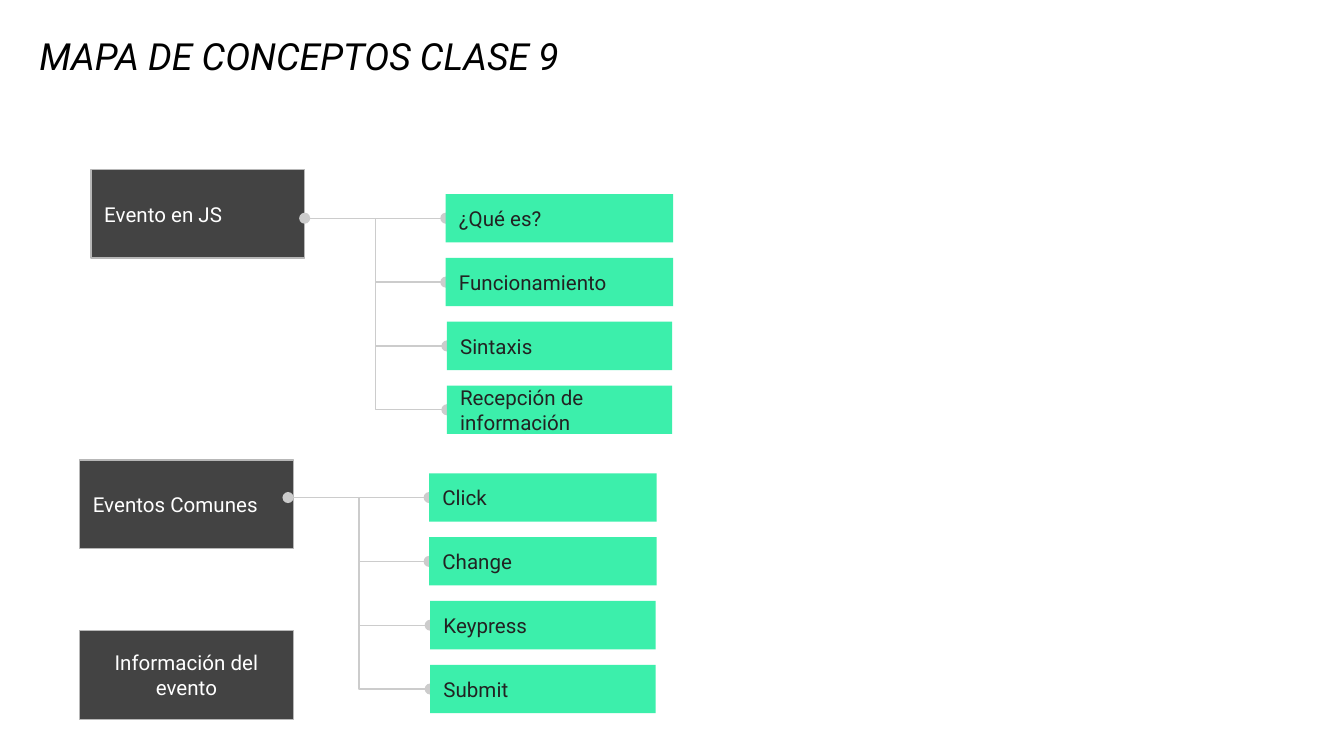
from lxml import etree
from pptx import Presentation
from pptx import util as u
from pptx.dml.color import RGBColor
from pptx.enum import shapes, text
from pptx.oxml.ns import qn

BLACK = RGBColor(0x00, 0x00, 0x00)
WHITE = RGBColor(0xFF, 0xFF, 0xFF)
INK = RGBColor(0x22, 0x22, 0x22)
DARK = RGBColor(0x43, 0x43, 0x43)
EDGE = RGBColor(0xB7, 0xB7, 0xB7)
WIRE = RGBColor(0xCC, 0xCC, 0xCC)
GREEN = RGBColor(0x3C, 0xEF, 0xAB)

COLS = 100
PITCH = 4.75
MIDDLE = text.MSO_ANCHOR.MIDDLE
BOTTOM = text.MSO_ANCHOR.BOTTOM
LEFT = text.PP_ALIGN.LEFT
CENTER = text.PP_ALIGN.CENTER


def write(shape, words, size=11, color=INK, italic=False, align=LEFT, anchor=MIDDLE):
    frame = shape.text_frame
    frame.word_wrap = True
    frame.vertical_anchor = anchor
    frame.margin_left = frame.margin_right = u.Inches(0.1)
    frame.margin_top = frame.margin_bottom = u.Inches(0.1)
    para = frame.paragraphs[0]
    para.alignment = align
    run = para.add_run()
    run.text = words
    run.font.name = "Roboto"
    run.font.size = u.Pt(size)
    run.font.italic = italic
    run.font.color.rgb = color


class Map:
    def __init__(self, deck):
        self.cell = deck.slide_width / COLS
        self.slide = deck.slides.add_slide(deck.slide_layouts[6])

    def grid(self, *marks):
        return [u.Emu(round(mark * self.cell)) for mark in marks]

    def title(self, words, *area):
        box = self.slide.shapes.add_textbox(*self.grid(*area))
        write(box, words, size=20, color=BLACK, italic=True, anchor=BOTTOM)

    def box(self, words, area, fill, edge=None, **style):
        rect = self.slide.shapes.add_shape(
            shapes.MSO_SHAPE.RECTANGLE, *self.grid(*area))
        rect.shadow.inherit = False
        rect.fill.solid()
        rect.fill.fore_color.rgb = fill
        if edge is None:
            rect.line.fill.background()
        else:
            rect.line.color.rgb = edge
            rect.line.width = u.Pt(0.75)
        write(rect, words, **style)

    def topic(self, words, left, top, align=LEFT):
        self.box(words, (left, top, 15.9, 6.6), DARK, EDGE, color=WHITE, align=align)

    def wire(self, kind, ends, *dots):
        link = self.slide.shapes.add_connector(kind, *self.grid(*ends))
        link.line.color.rgb = WIRE
        link.line.width = u.Pt(0.75)
        props = link._element.spPr
        for dot in dots:
            etree.SubElement(props.find(qn("a:ln")), qn(dot), type="oval")
        etree.SubElement(props, qn("a:effectLst"))

    def branch(self, left, mid, leaves):
        for row, words in enumerate(leaves):
            nudge = 0.08 if row > 1 else 0
            start, level = left + 10.5 + nudge, mid + row * PITCH
            ends = (left, mid, start, level)
            if row:
                self.wire(shapes.MSO_CONNECTOR.ELBOW, ends, "a:tailEnd")
            else:
                self.wire(shapes.MSO_CONNECTOR.STRAIGHT, ends, "a:headEnd", "a:tailEnd")
            self.box(words, (start, level - 1.8, 16.93 - 2 * nudge, 3.6), GREEN)


def main():
    deck = Presentation()
    deck.slide_width = u.Inches(10)
    deck.slide_height = deck.slide_width * 9 // 16
    page = Map(deck)
    page.title("MAPA DE CONCEPTOS CLASE 9", 1.94, 2.2, 82.6, 4.6)
    page.topic("Evento en JS", 6.77, 12.62)
    page.branch(22.67, 16.24, (
        "¿Qué es?", "Funcionamiento", "Sintaxis", "Recepción de información"))
    page.topic("Eventos Comunes", 5.92, 34.23)
    page.branch(21.43, 37.02, ("Click", "Change", "Keypress", "Submit"))
    page.topic("Información del evento", 5.92, 46.93, align=CENTER)
    deck.save("out.pptx")


if __name__ == "__main__":
    main()
